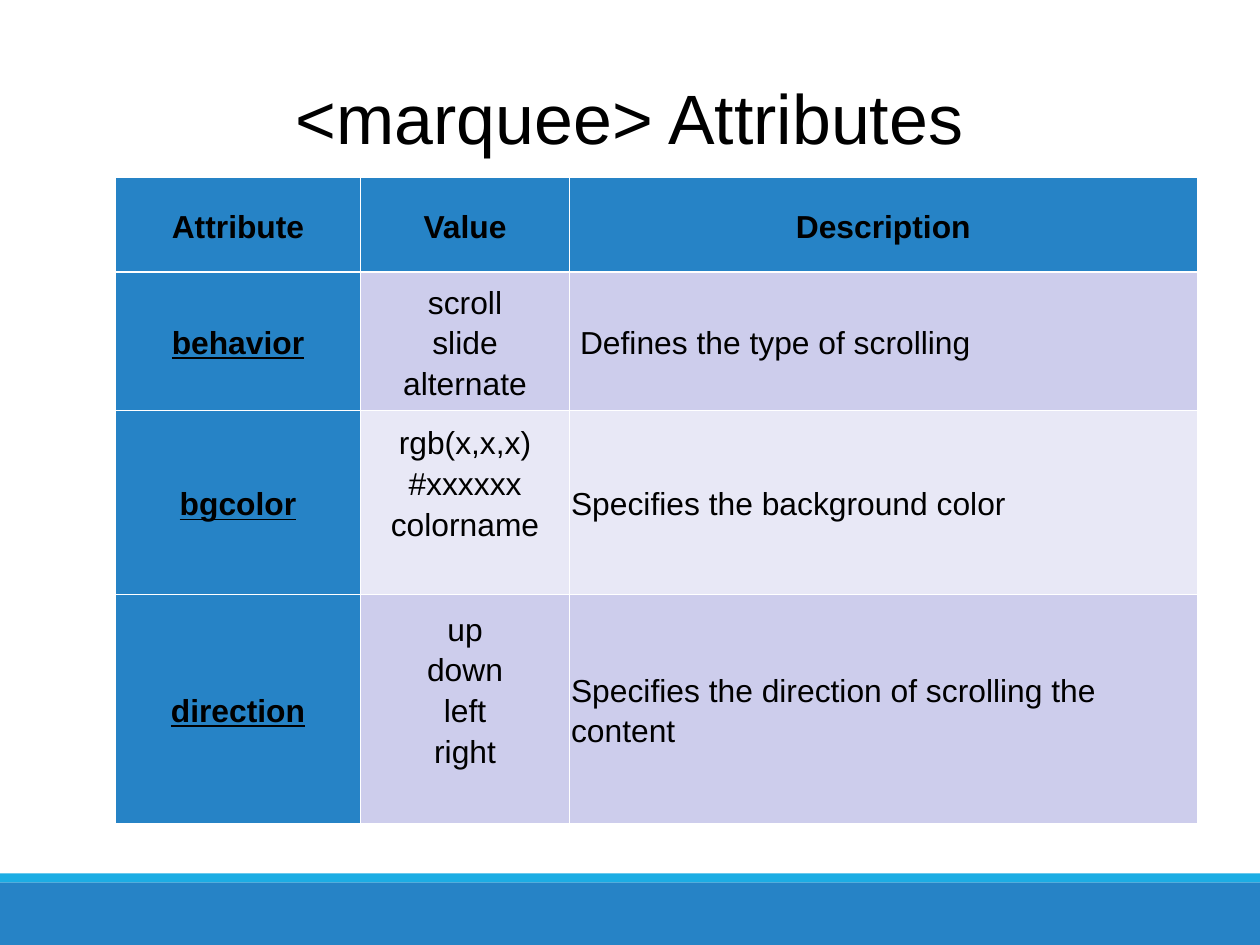
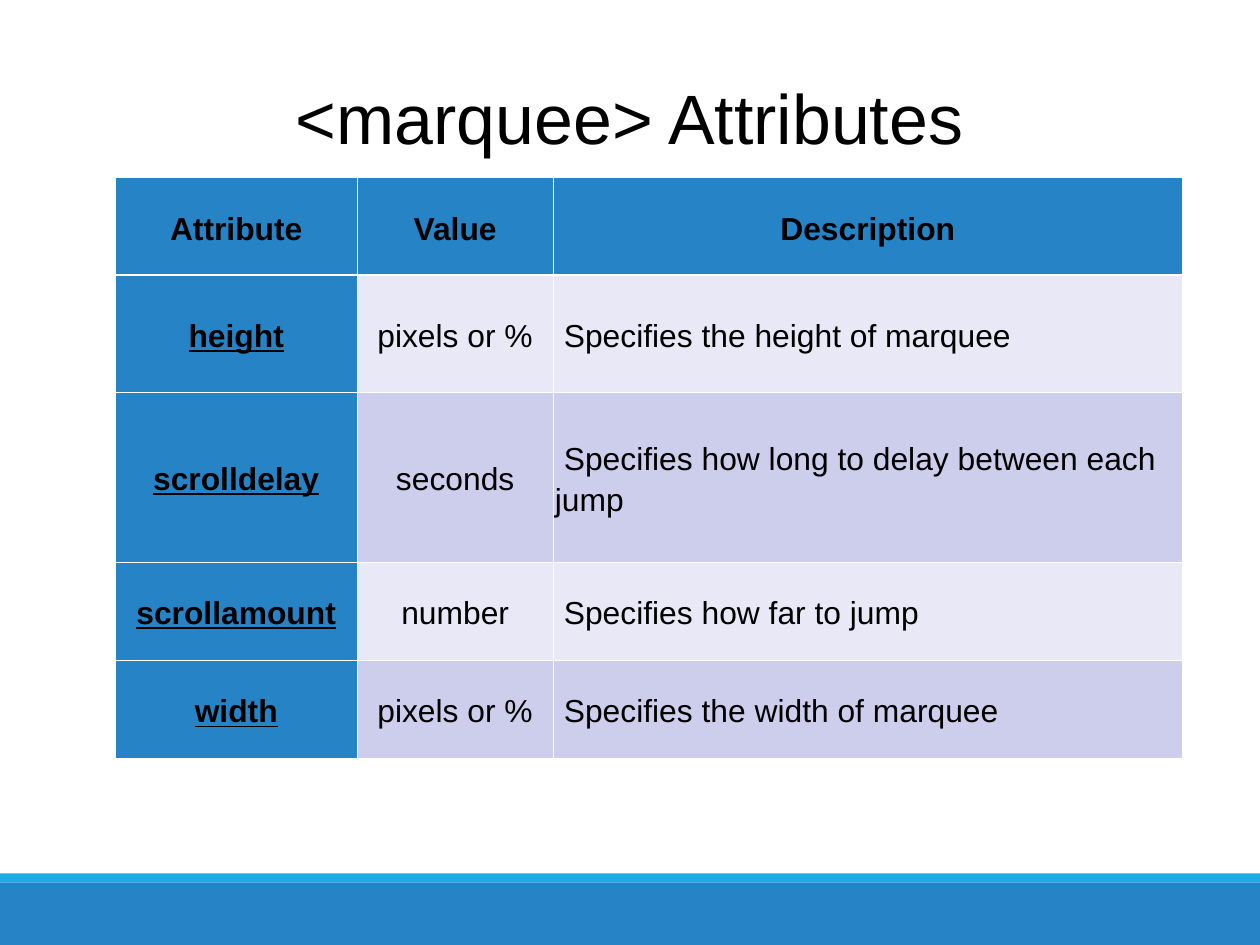
from lxml.etree import SubElement
from pptx import Presentation
from pptx.dml.color import RGBColor
from pptx.enum.shapes import MSO_SHAPE
from pptx.enum.text import MSO_ANCHOR, PP_ALIGN
from pptx.oxml.ns import qn
from pptx.util import Cm, Pt

BLUE, CYAN, WHITE, BLACK = "2683C6", "1CADE4", "FFFFFF", "000000"
TONES = ["CDCDEC", "E8E8F6"]
FONT = "Arial"
WIDTH, HEIGHT = 28, 21
BANDS = [(19.61, 1.39, BLUE), (19.41, 0.2, CYAN)]  # top, height, colour
THIN, THICK = 0.45, 1.47
LEAD = 0.2  # first-line indent of some descriptions
TAIL = 0.9  # free line below some value lists

TITLE = "<marquee> Attributes"
HEAD = ["Attribute", "Value", "Description"]
# rows: height, attribute, values, description, lead, tail
TABLES = [
    {"cols": [5.44, 4.65, 13.94], "head": 2.1, "rows": [
        (3.08, "behavior", ["scroll", "slide", "alternate"],
         "Defines the type of scrolling", LEAD, 0),
        (4.08, "bgcolor", ["rgb(x,x,x)", "#xxxxxx", "colorname"],
         "Specifies the background color", 0, TAIL),
        (5.1, "direction", ["up", "down", "left", "right"],
         "Specifies the direction of scrolling the content", 0, TAIL),
    ]},
    {"cols": [5.36, 4.37, 13.97], "head": 2.18, "rows": [
        (2.59, "height", ["pixels or %"],
         "Specifies the height of marquee", LEAD, 0),
        (3.78, "scrolldelay", ["seconds"],
         "Specifies how long to delay between each jump", LEAD, 0),
        (2.18, "scrollamount", ["number"],
         "Specifies how far to jump", LEAD, 0),
        (2.18, "width", ["pixels or %"],
         "Specifies the width of marquee", LEAD, 0),
    ]},
]


def paint(fill, hue):
    fill.solid()
    fill.fore_color.rgb = RGBColor.from_string(hue)


def write(para, text, size, bold=False, under=False):
    run = para.add_run()
    run.text = text
    font = run.font
    font.name, font.size, font.bold, font.underline = FONT, Pt(size), bold, under
    font.color.rgb = RGBColor.from_string(BLACK)


def frame(cell, top, base):
    """Draw white cell borders; top and base are widths in points."""
    props = cell._tc.get_or_add_tcPr()
    for tag, size in (("lnL", THIN), ("lnR", THIN), ("lnT", top), ("lnB", base)):
        line = SubElement(props, qn("a:" + tag), w=str(Pt(size)))
        fill = SubElement(line, qn("a:solidFill"))
        SubElement(fill, qn("a:srgbClr"), val=WHITE)


def put(cell, lines, hue, align=PP_ALIGN.CENTER, lead=0, tail=0, **style):
    """Fill one cell, one paragraph per line."""
    paint(cell.fill, hue)
    cell.vertical_anchor = MSO_ANCHOR.MIDDLE
    cell.margin_left = cell.margin_right = Cm(0.03)
    cell.margin_top, cell.margin_bottom = Cm(0.13), Cm(0.13 + tail)
    text = cell.text_frame
    for i, line in enumerate(lines):
        para = text.add_paragraph() if i else text.paragraphs[0]
        para.alignment, para.line_spacing = align, 1.15
        if lead:
            para._p.get_or_add_pPr().set("indent", str(Cm(lead)))
        write(para, line, 20, **style)


def add_grid(slide, data, shift):
    """Add the table; shift says which tone the first row takes."""
    cols, rows = data["cols"], data["rows"]
    tall = [data["head"]] + [row[0] for row in rows]
    grid = slide.shapes.add_table(
        len(tall), len(cols), Cm(2.57), Cm(3.94), Cm(sum(cols)), Cm(sum(tall))
    ).table
    grid.horz_banding = False
    for col, size in zip(grid.columns, cols):
        col.width = Cm(size)
    for r, (row, size) in enumerate(zip(grid.rows, tall)):
        row.height = Cm(size)
        for cell in row.cells:
            frame(cell, THICK if r == 1 else THIN, THICK if r == 0 else THIN)
    for c, name in enumerate(HEAD):
        put(grid.cell(0, c), [name], BLUE, bold=True)
    for r, (_, name, values, about, lead, tail) in enumerate(rows, 1):
        tone = TONES[(shift + r - 1) % len(TONES)]
        put(grid.cell(r, 0), [name], BLUE, bold=True, under=True)
        put(grid.cell(r, 1), values, tone, tail=tail)
        put(grid.cell(r, 2), [about], tone, PP_ALIGN.LEFT, lead)


def add_bands(deck, slide):
    """Draw the bottom bands and move them to the slide master."""
    tree = deck.slide_master.element.cSld.spTree
    for i, (top, tall, hue) in enumerate(BANDS):
        band = slide.shapes.add_shape(
            MSO_SHAPE.RECTANGLE, 0, Cm(top), Cm(WIDTH), Cm(tall))
        band.shadow.inherit = False
        paint(band.fill, hue)
        band.line.fill.background()
        band.element.nvSpPr.cNvPr.id = 20 + i
        tree.append(band.element)


def set_title(layout):
    box = layout.placeholders[0]
    box.left, box.top, box.width, box.height = Cm(1.4), Cm(0.97), Cm(25.2), Cm(3.25)
    text = box.text_frame
    text.margin_left = text.margin_right = text.margin_top = text.margin_bottom = 0
    text.vertical_anchor = MSO_ANCHOR.MIDDLE


def main():
    deck = Presentation()
    deck.slide_width, deck.slide_height = Cm(WIDTH), Cm(HEIGHT)
    layout = deck.slide_layouts[5]
    set_title(layout)
    paint(deck.slide_master.background.fill, WHITE)
    shift = 0
    for data in TABLES:
        slide = deck.slides.add_slide(layout)
        if not shift:
            add_bands(deck, slide)
        para = slide.shapes.title.text_frame.paragraphs[0]
        para.alignment = PP_ALIGN.CENTER
        write(para, TITLE, 44)
        add_grid(slide, data, shift)
        shift += len(data["rows"])
    deck.save("out.pptx")


if __name__ == "__main__":
    main()
